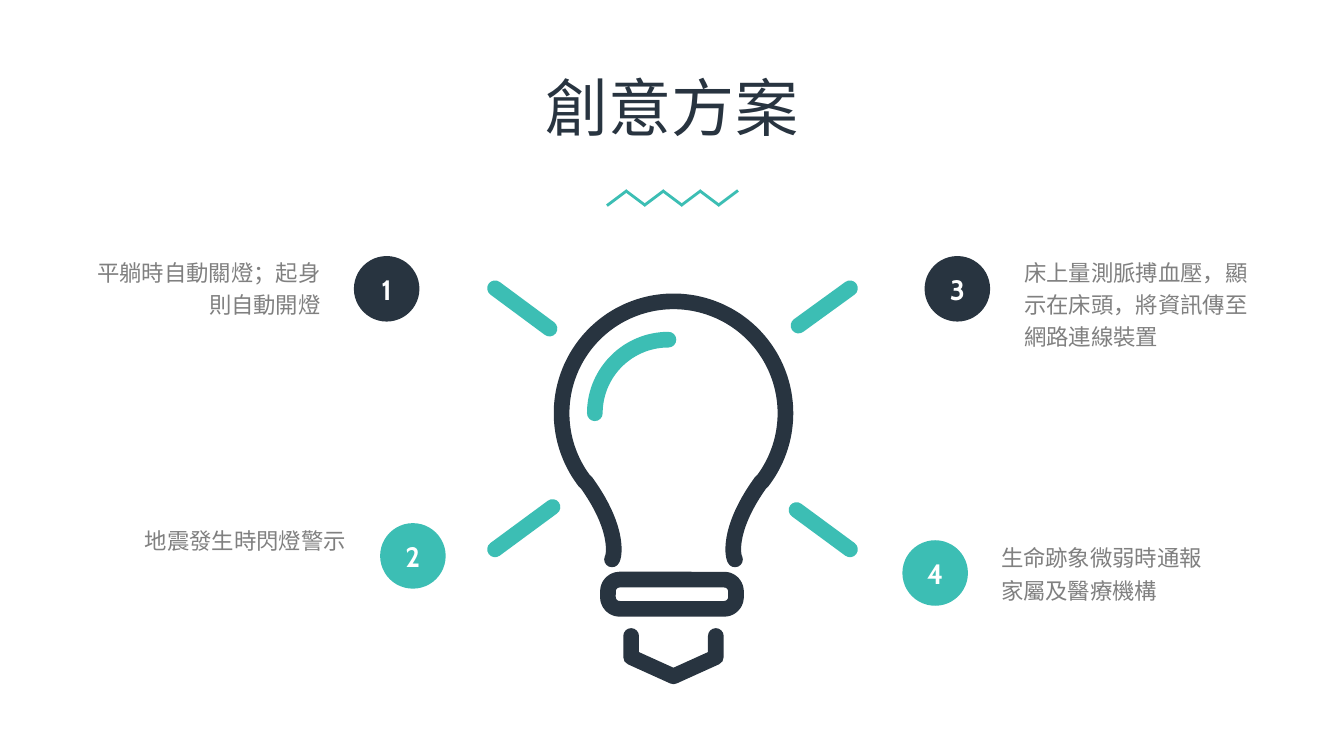
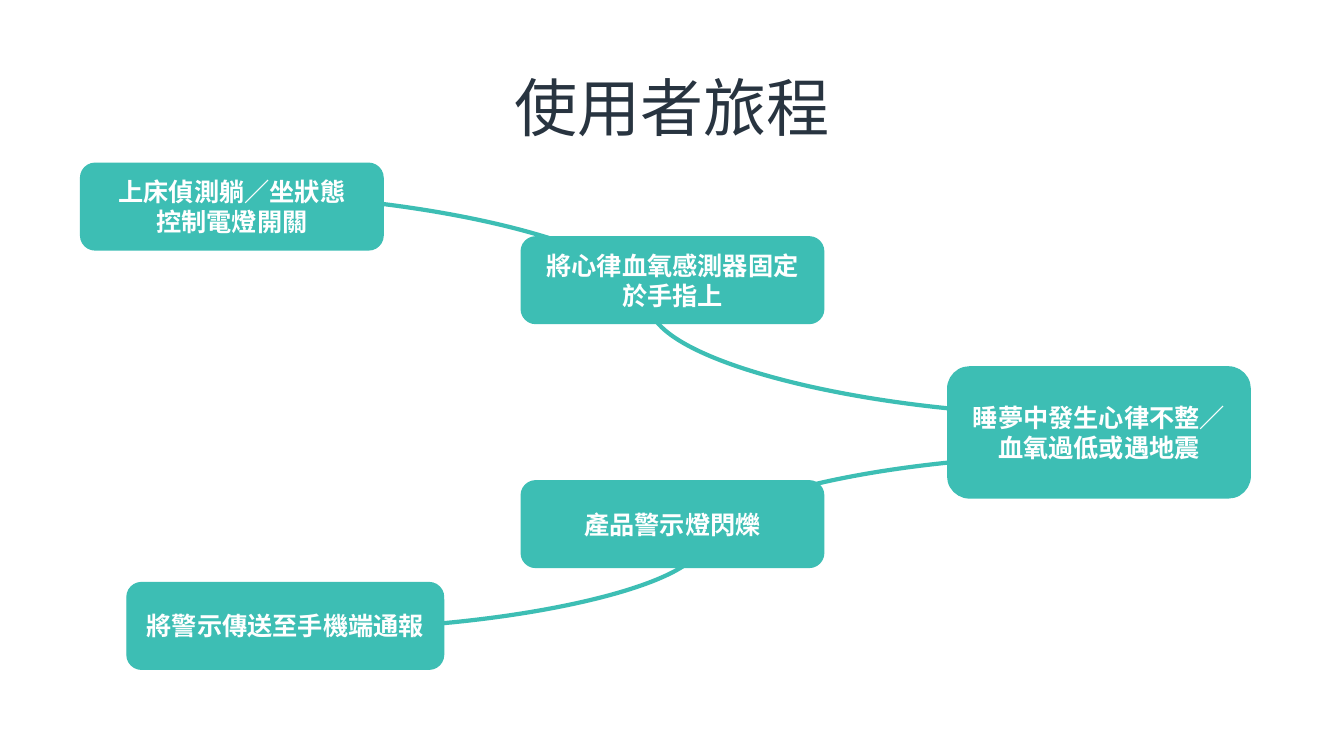
import math
from typing import NamedTuple

from lxml import etree
from pptx import Presentation
from pptx import util as u
from pptx.dml import color as col
from pptx.enum import shapes as sh
from pptx.enum import text as tx
from pptx.oxml import ns

HEX = {
    "navy": "283440",
    "teal": "3CBEB4",
    "box": "3DBEB4",
    "gray": "808080",
    "white": "FFFFFF",
}
CABIN = "Cabin"
NOTO = "Noto Sans CJK TC"
WIDE, HIGH = 13.33, 7.5
LEFT, MID, RIGHT = tx.PP_ALIGN.LEFT, tx.PP_ALIGN.CENTER, tx.PP_ALIGN.RIGHT
Point = tuple[float, float]
Rect = tuple[float, float, float, float]


class Idea(NamedTuple):
    num: str
    words: str
    dot: Point
    area: Rect
    tone: str
    align: tx.PP_ALIGN


class Step(NamedTuple):
    words: str
    area: Rect


IDEAS = [
    Idea("3", "床上量測脈搏血壓，顯示在床頭，將資訊傳至網路連線裝置",
         (9.17, 2.54), (10.06, 2.47, 2.6, 1.04), "navy", LEFT),
    Idea("1", "平躺時自動關燈；起身則自動開燈",
         (3.51, 2.54), (0.81, 2.47, 2.47, 0.72), "navy", RIGHT),
    Idea("4", "生命跡象微弱時通報家屬及醫療機構",
         (8.95, 5.36), (9.83, 5.3, 2.38, 0.72), "teal", LEFT),
    Idea("2", "地震發生時閃燈警示",
         (3.77, 5.19), (0.87, 5.13, 2.66, 0.4), "teal", RIGHT),
]
STEPS = [
    Step("上床偵測躺／坐狀態\n控制電燈開關", (0.8, 1.62, 3, 0.86)),
    Step("將心律血氧感測器固定於手指上", (5.17, 2.35, 3, 0.86)),
    Step("睡夢中發生心律不整／血氧過低或遇地震", (9.4, 3.64, 3, 1.3)),
    Step("產品警示燈閃爍", (5.17, 4.77, 3, 0.86)),
    Step("將警示傳送至手機端通報", (1.26, 5.78, 3.14, 0.86)),
]
RAYS = [
    ((7.9, 5.06), (8.43, 5.45)),
    ((4.91, 2.86), (5.45, 3.26)),
    ((4.91, 5.45), (5.48, 5.03)),
    ((7.92, 3.23), (8.43, 2.86)),
]
STROKE = 11.2


def rgb(name: str) -> col.RGBColor:
    return col.RGBColor.from_string(HEX[name])


def inches(*nums: float) -> list[u.Length]:
    return [u.Inches(num) for num in nums]


# Text
def write(frame, words: str, *, size: float, tone: str, font: str = CABIN,
          bold: bool = False, align=MID, lead: float | None = None) -> None:
    frame.word_wrap = True
    frame.text = words
    for para in frame.paragraphs:
        para.alignment = align
        if lead:
            para.line_spacing = u.Pt(lead)
        for run in para.runs:
            run.font.size = u.Pt(size)
            run.font.bold = bold
            run.font.color.rgb = rgb(tone)
            run.font.name = font
            east = etree.SubElement(run.font._element, ns.qn("a:ea"))
            east.set("typeface", NOTO)


def label(slide, words: str, area: Rect, **form) -> None:
    frame = slide.shapes.add_textbox(*inches(*area)).text_frame
    write(frame, words, **form)
    frame.auto_size = tx.MSO_AUTO_SIZE.SHAPE_TO_FIT_TEXT


def title(slide, words: str) -> None:
    label(slide, words, (0, 0.63, WIDE, 0.86), size=45, tone="navy", font=NOTO)


# Lines and shapes
def pen(shape, tone: str, width: float, blunt: bool = True) -> None:
    shape.line.color.rgb = rgb(tone)
    shape.line.width = u.Pt(width)
    if not blunt:
        edge = shape.element.spPr.find(ns.qn("a:ln"))
        edge.set("cap", "rnd")
        etree.SubElement(edge, ns.qn("a:round"))


def link(slide, start: Point, end: Point, tone: str, width: float,
         kind=sh.MSO_CONNECTOR.STRAIGHT, blunt: bool = True) -> None:
    line = slide.shapes.add_connector(kind, *inches(*start, *end))
    pen(line, tone, width, blunt)
    etree.SubElement(line.element.spPr, ns.qn("a:effectLst"))


def block(slide, kind, area: Rect, tone: str | None):
    shape = slide.shapes.add_shape(kind, *inches(*area))
    shape.shadow.inherit = False
    shape.line.fill.background()
    if tone:
        shape.fill.solid()
        shape.fill.fore_color.rgb = rgb(tone)
    else:
        shape.fill.background()
    return shape


def trace(slide, dots: list[Point], tone: str) -> None:
    first, *rest = [tuple(inches(*dot)) for dot in dots]
    maker = slide.shapes.build_freeform(*first)
    maker.add_line_segments(rest, close=False)
    shape = maker.convert_to_shape()
    shape.shadow.inherit = False
    shape.fill.background()
    pen(shape, tone, STROKE, blunt=False)


def arc(hub: Point, radius: float, start: int, end: int) -> list[Point]:
    turns = [math.radians(deg) for deg in range(start, end + 1, 2)]
    return [(hub[0] + radius * math.cos(turn), hub[1] + radius * math.sin(turn))
            for turn in turns]


def bend(a: Point, b: Point, c: Point, d: Point, count: int = 20) -> list[Point]:
    def at(t: float, axis: int) -> float:
        s = 1 - t
        return (s**3 * a[axis] + 3 * s * s * t * b[axis]
                + 3 * s * t * t * c[axis] + t**3 * d[axis])
    return [(at(i / count, 0), at(i / count, 1)) for i in range(count + 1)]


# Parts of the first slide
def zigzag(slide) -> None:
    left, count, top, low = 6.02, 7, 1.89, 2.04
    gap = (7.12 - left) / (count - 1)
    for i in range(count):
        x = left + i * gap
        start, end = (low, top) if i % 2 == 0 else (top, low)
        link(slide, (x, start), (x + 0.2, end), "teal", 2)


def bulb(slide) -> None:
    axis = 6.68
    trace(slide, arc((6.63, 4.1), 0.73, 180, 270), "teal")
    # Glass: a neck, the round top, and the neck mirrored
    neck = bend((6.07, 5.55), (6.1, 5.5), (6.13, 5.22), (5.81, 4.78))
    twin = [(2 * axis - x, y) for x, y in reversed(neck)]
    trace(slide, neck + arc((axis, 4.1), 1.11, 142, 398) + twin, "navy")
    # Socket and tip
    ring = block(slide, sh.MSO_SHAPE.ROUNDED_RECTANGLE,
                 (6.03, 5.75, 1.27, 0.29), None)
    ring.adjustments[0] = 0.4
    pen(ring, "navy", STROKE)
    trace(slide, [(6.26, 6.31), (6.26, 6.52), (axis, 6.71),
                  (7.1, 6.52), (7.1, 6.31)], "navy")
    for start, end in RAYS:
        link(slide, start, end, "teal", STROKE, blunt=False)


def idea(slide, item: Idea) -> None:
    dot = block(slide, sh.MSO_SHAPE.OVAL, (*item.dot, 0.65, 0.65), item.tone)
    frame = dot.text_frame
    write(frame, item.num, size=20, tone="white", bold=True)
    frame.margin_left = frame.margin_right = 0
    frame.margin_top = frame.margin_bottom = 0
    frame.vertical_anchor = tx.MSO_ANCHOR.MIDDLE
    label(slide, item.words, item.area, size=16, tone="gray",
          align=item.align, lead=23)


# Parts of the second slide
def step(slide, item: Step) -> None:
    card = block(slide, sh.MSO_SHAPE.ROUNDED_RECTANGLE, item.area, "box")
    pen(card, "box", 1)
    write(card.text_frame, item.words, size=18, tone="white", bold=True)
    card.text_frame.vertical_anchor = tx.MSO_ANCHOR.MIDDLE


def main() -> None:
    deck = Presentation()
    deck.slide_width, deck.slide_height = inches(WIDE, HIGH)
    blank = deck.slide_layouts[6]

    plan = deck.slides.add_slide(blank)
    title(plan, "創意方案")
    zigzag(plan)
    bulb(plan)
    for item in IDEAS:
        idea(plan, item)

    trip = deck.slides.add_slide(blank)
    for start, end in [((10.75, 4.52), (3.17, 6.24)),
                       ((2.14, 1.92), (10.75, 4.12))]:
        link(trip, start, end, "box", 3, sh.MSO_CONNECTOR.CURVE)
    title(trip, "使用者旅程")
    for item in STEPS:
        step(trip, item)

    deck.save("out.pptx")


if __name__ == "__main__":
    main()
